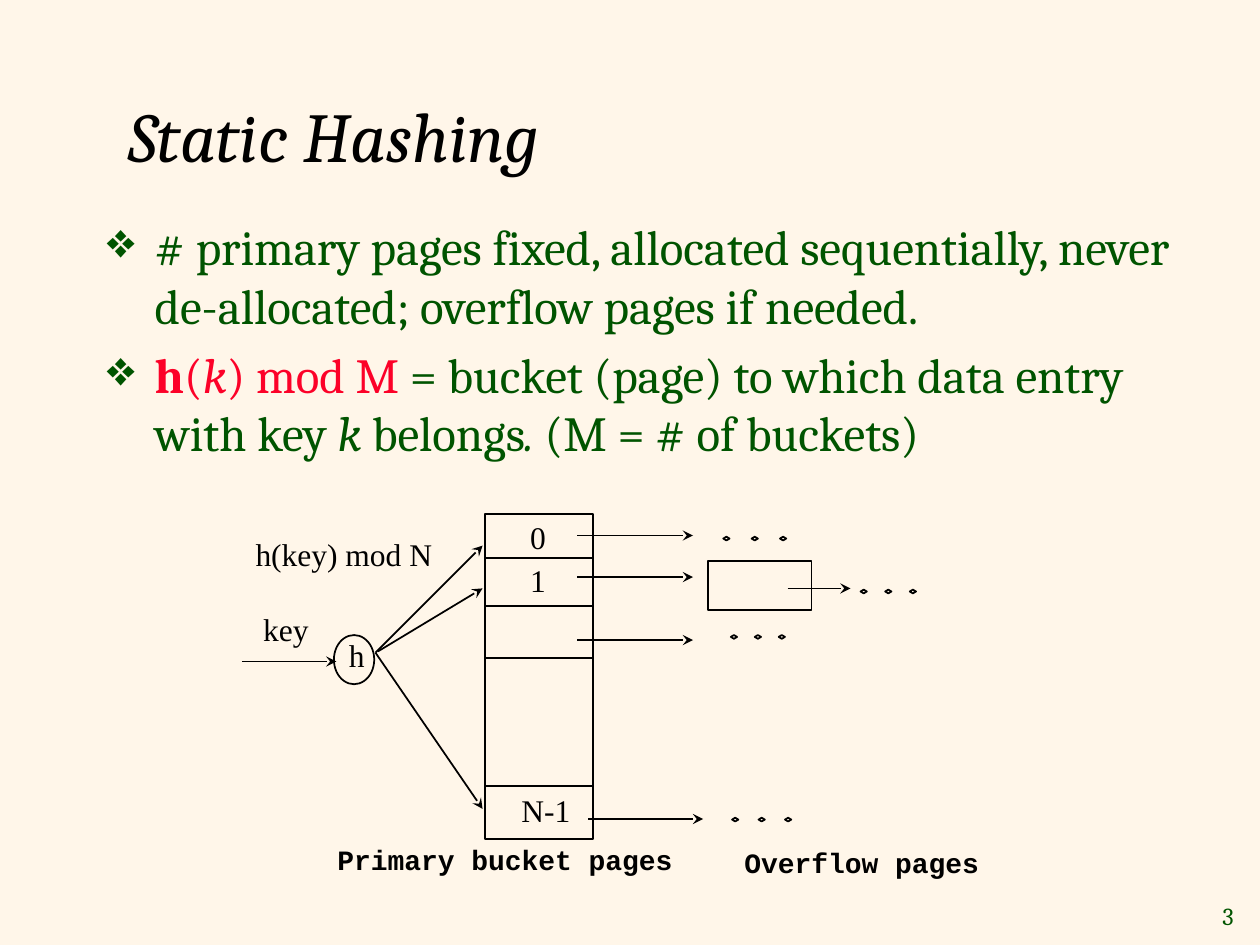
from pptx import Presentation
from pptx.dml.color import RGBColor
from pptx.enum.shapes import MSO_CONNECTOR, MSO_SHAPE
from pptx.enum.text import MSO_ANCHOR, PP_ALIGN
from pptx.oxml.ns import qn
from pptx.util import Inches, Pt
from lxml.etree import SubElement

BLACK, GREEN, RED, CREAM = "000000", "005400", "FC0128", "FFF6E9"
SERIF, ROMAN, MONO = "Cambria", "Times New Roman", "Courier New"

# Content: bullets are lists of (text, colour, style)
BULLETS = [
    [("# primary pages fixed, allocated sequentially, never "
      "de-allocated; overflow pages if needed.", GREEN, "")],
    [("h", RED, "b"), ("(", RED, ""), ("k", RED, "i"), (") mod M ", RED, ""),
     ("= bucket (page) to which data entry with key", GREEN, ""),
     (" k ", GREEN, "i"), ("belongs", GREEN, ""), (". ", GREEN, "i"),
     ("(M = # of buckets)", GREEN, "")],
]
# Diagram labels: text, left, top, width
LABELS = [("h(key) mod N", 1.93, 4.2, 1.6), ("h", 2.67, 5, 0.32),
          ("key", 1.99, 4.79, 0.56), ("0", 4.11, 4.06, 0.32),
          ("1", 4.11, 4.4, 0.33), ("N-1", 4.04, 6.23, 0.59)]
CAPTIONS = [("Primary bucket pages", 2.58, 6.64, 2.86),
            ("Overflow pages", 5.81, 6.66, 2.06)]

# Diagram geometry
BUCKETS = (3.85, 4.08, 0.86, 2.58)
DIVIDERS = [4.43, 4.81, 5.22, 6.24]
OVERFLOW_PAGE = (5.62, 4.45, 0.82, 0.39)
HASH_NODE = (2.65, 5.04, 0.32, 0.39)
HASH_ARROWS = [(3, 5.17, 3.83, 4.67), (2.98, 5.18, 3.83, 4.33),
               (2.98, 5.18, 3.83, 6.42), (1.92, 5.25, 2.67, 5.25)]
# Level arrows: left, y, length
CHAIN_ARROWS = [(4.58, 4.25, 0.92), (4.58, 4.58, 0.92), (4.58, 5.08, 0.92),
                (4.67, 6.5, 0.91), (6.25, 4.67, 0.5)]
# Ellipses of three dots: left, top, step
DOT_ROWS = [(5.74, 4.26, 0.225), (6.83, 4.68, 0.195),
            (5.8, 5.04, 0.19), (5.81, 6.49, 0.21)]


def rgb(value):
    return RGBColor.from_string(value)


def add_run(p, text, size, font, color, style=""):
    r = p.add_run()
    r.text = text
    r.font.size, r.font.name = Pt(size), font
    r.font.color.rgb = rgb(color)
    r.font.bold, r.font.italic = "b" in style, "i" in style


def add_box(s, left, top, width, height, wrap=False, anchor=MSO_ANCHOR.TOP):
    tf = s.shapes.add_textbox(*map(Inches, (left, top, width, height))).text_frame
    tf.word_wrap, tf.vertical_anchor = wrap, anchor
    return tf


def add_bullet(p):
    pPr = p._p.get_or_add_pPr()
    pPr.set("marL", str(Inches(0.38)))
    pPr.set("indent", str(-Inches(0.38)))
    color = SubElement(pPr, qn("a:buClr"))
    SubElement(color, qn("a:srgbClr")).set("val", GREEN)
    SubElement(pPr, qn("a:buChar")).set("char", "❖")


def add_outline(s, kind, box):
    sp = s.shapes.add_shape(kind, *map(Inches, box))
    sp.shadow.inherit = False
    sp.fill.background()
    sp.line.color.rgb, sp.line.width = rgb(BLACK), Pt(1)


def add_line(s, x1, y1, x2, y2, arrow=False):
    line = s.shapes.add_connector(MSO_CONNECTOR.STRAIGHT,
                                  *map(Inches, (x1, y1, x2, y2)))
    line.line.color.rgb, line.line.width = rgb(BLACK), Pt(1)
    if arrow:
        SubElement(line.line._get_or_add_ln(), qn("a:tailEnd")).set("type", "stealth")
    SubElement(line._element.spPr, qn("a:effectLst"))


prs = Presentation()
prs.slide_width, prs.slide_height = Inches(10), Inches(7.5)
s = prs.slides.add_slide(prs.slide_layouts[6])
s.background.fill.solid()
s.background.fill.fore_color.rgb = rgb(CREAM)

# Slide number and title
p = add_box(s, 9.45, 7.1, 0.44, 0.33, True, MSO_ANCHOR.MIDDLE).paragraphs[0]
p.alignment = PP_ALIGN.RIGHT
add_run(p, "3", 14, SERIF, GREEN)
p = add_box(s, 0.92, 0.46, 8.5, 1.21, True, MSO_ANCHOR.MIDDLE).paragraphs[0]
add_run(p, "Static Hashing", 40, SERIF, BLACK, "i")

# Bullets
tf = add_box(s, 0.75, 1.67, 8.67, 5.25, True)
for i, bullet in enumerate(BULLETS):
    p = tf.add_paragraph() if i else tf.paragraphs[0]
    p.space_before = Pt(5.6 if i else 0)
    add_bullet(p)
    for text, color, style in bullet:
        add_run(p, text, 28, SERIF, color, style)

# Bucket column, overflow page and hash node
add_outline(s, MSO_SHAPE.RECTANGLE, BUCKETS)
add_outline(s, MSO_SHAPE.RECTANGLE, OVERFLOW_PAGE)
add_outline(s, MSO_SHAPE.OVAL, HASH_NODE)
for y in DIVIDERS:
    add_line(s, BUCKETS[0], y, BUCKETS[0] + BUCKETS[2], y)

# Ellipses for further overflow pages
for left, top, step in DOT_ROWS:
    for i in range(3):
        add_outline(s, MSO_SHAPE.DIAMOND, (left + i * step, top, 0.05, 0.03))

# Labels and captions
for labels, height, style in ((LABELS, 0.4, (18, ROMAN, BLACK)),
                              (CAPTIONS, 0.36, (16, MONO, BLACK, "b"))):
    for text, left, top, width in labels:
        add_run(add_box(s, left, top, width, height).paragraphs[0], text, *style)

# Arrows
for ends in HASH_ARROWS:
    add_line(s, *ends, arrow=True)
for left, y, length in CHAIN_ARROWS:
    add_line(s, left, y, left + length, y, arrow=True)

prs.save("out.pptx")
